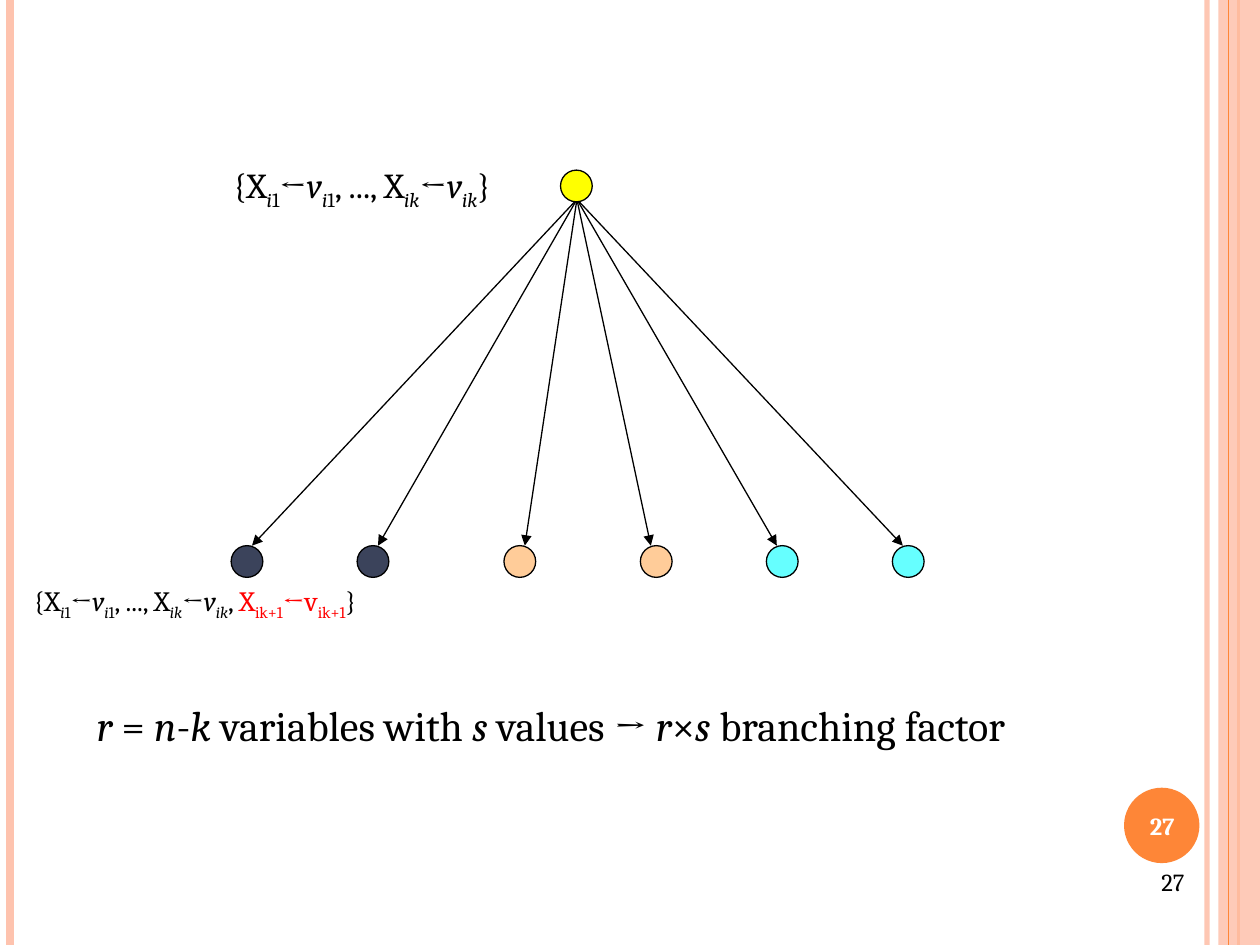
from lxml.etree import SubElement
from pptx import Presentation
from pptx.dml.color import RGBColor
from pptx.enum.shapes import MSO_CONNECTOR as Connector, MSO_SHAPE as Shape
from pptx.enum.text import MSO_ANCHOR as Anchor, PP_ALIGN as Align
from pptx.oxml.ns import qn
from pptx.util import Cm, Pt

WIDTH, HEIGHT = 25.4, 19.05
FONT = "Cambria"
BLACK, WHITE, RED = "000000", "FFFFFF", "FF0000"
ORANGE, PEACH = "FE8637", "FEC3AE"
NAVY, SAND, CYAN, YELLOW = "3B435B", "FFCC99", "66FFFF", "FFFF00"
PAGE_NUMBER = "27"

NODE_SIZE = 0.64
ROOT_LEFT, ROOT_TOP = 11.3, 3.43
FAN_X, FAN_Y = 11.63, 4.02
CHILD_TOP = 11

# Left edge of each child node, x of the arrow tip above it, colour
CHILDREN = [
    (4.66, 5.08, NAVY), (7.2, 7.62, NAVY),
    (10.16, 10.58, SAND), (12.91, 13.12, SAND),
    (15.45, 15.66, CYAN), (17.99, 18.2, CYAN),
]

# Spans are (text, marks): i italic, s subscript, r red
FIRST = [("X", ""), ("i", "is"), ("1", "s"), ("←", ""),
         ("v", "i"), ("i", "is"), ("1", "s")]
LAST = [("X", ""), ("ik", "is"), ("←", ""), ("v", "i"), ("ik", "is")]
ASSIGNMENT = [("{", "")] + FIRST + [(", ..., ", "")] + LAST
EXTENSION = [("X", "r"), ("ik+1", "rs"), ("←v", "r"), ("ik+1", "rs")]
BRANCHING = [("r", "i"), (" = ", ""), ("n", "i"), ("-", ""), ("k", "i"),
             (" variables with ", ""), ("s", "i"), (" values → ", ""),
             ("r", "i"), ("×", ""), ("s", "i"), (" branching factor", "")]


def paint(color_format, color, opacity=100):
    color_format.rgb = RGBColor.from_string(color)


def set_opacity(element, percent):
    color = next(element.iter(qn("a:srgbClr")))
    SubElement(color, qn("a:alpha")).set("val", str(percent * 1000))


def add_filled(page, kind, left, top, width, height, color, outlined=False):
    shape = page.shapes.add_shape(kind, Cm(left), Cm(top), Cm(width), Cm(height))
    shape.shadow.inherit = False
    shape.fill.solid()
    paint(shape.fill.fore_color, color)
    if outlined:
        paint(shape.line.color, BLACK)
        shape.line.width = Pt(0.75)
    else:
        shape.line.fill.background()
    return shape


def add_node(page, left, top, color):
    return add_filled(page, Shape.OVAL, left, top, NODE_SIZE, NODE_SIZE,
                      color, outlined=True)


def add_line(page, start, end, color, weight, arrow=False):
    line = page.shapes.add_connector(
        Connector.STRAIGHT, *(Cm(value) for value in start + end))
    paint(line.line.color, color)
    line.line.width = Pt(weight)
    properties = line._element.spPr
    if arrow:
        SubElement(properties.find(qn("a:ln")), qn("a:tailEnd")).set("type", "triangle")
    SubElement(properties, qn("a:effectLst"))
    return line


def add_text(page, left, top, width, height, spans, size, color=BLACK,
             bold=False, align=Align.LEFT, anchor=Anchor.TOP):
    box = page.shapes.add_textbox(Cm(left), Cm(top), Cm(width), Cm(height))
    frame = box.text_frame
    frame.word_wrap = True
    frame.vertical_anchor = anchor
    para = frame.paragraphs[0]
    para.alignment = align
    for text, marks in spans:
        span = para.add_run()
        span.text = text
        font = span.font
        font.name, font.size, font.bold = FONT, Pt(size), bold
        font.italic = "i" in marks
        paint(font.color, RED if "r" in marks else color)
        if "s" in marks:
            font._element.set("baseline", "-25000")


def add_stripe(page, x, color, weight):
    return add_line(page, (x, 0), (x, HEIGHT), color, weight)


def add_frame(page):
    set_opacity(add_stripe(page, 24.33, PEACH, 3)._element, 93)
    add_stripe(page, 0.2, PEACH, 4.5)
    add_stripe(page, 24.97, ORANGE, 1.5)
    band = add_filled(page, Shape.RECTANGLE, 24.56, 0, 0.84, HEIGHT, PEACH)
    set_opacity(band._element, 87)
    add_stripe(page, 24.77, ORANGE, 0.75)


def add_page_numbers(page):
    number = [(PAGE_NUMBER, "")]
    add_filled(page, Shape.OVAL, 22.66, 15.88, 1.52, 1.52, ORANGE)
    add_text(page, 22.58, 15.93, 1.7, 1.45, number, 14, WHITE, bold=True,
             align=Align.CENTER, anchor=Anchor.MIDDLE)
    add_text(page, 18.2, 17.35, 5.93, 1.32, number, 14, align=Align.RIGHT)


def add_tree(page):
    for left, tip, color in CHILDREN:
        add_node(page, left, CHILD_TOP, color)
        add_line(page, (FAN_X, FAN_Y), (tip, CHILD_TOP), BLACK, 0.75, arrow=True)
    add_node(page, ROOT_LEFT, ROOT_TOP, YELLOW)


def main():
    deck = Presentation()
    deck.slide_width, deck.slide_height = Cm(WIDTH), Cm(HEIGHT)
    page = deck.slides.add_slide(deck.slide_layouts[6])

    add_frame(page)
    add_page_numbers(page)
    add_tree(page)

    # Labels of the root and first child, and the conclusion
    closing = [("}", "")]
    add_text(page, 4.45, 3.18, 7.19, 1.12, ASSIGNMENT + closing, 20)
    add_text(page, 0.43, 11.63, 9.02, 0.94,
             ASSIGNMENT + [(", ", "")] + EXTENSION + closing, 16)
    add_text(page, 1.7, 13.97, 21.72, 1.27, BRANCHING, 24)

    deck.save("out.pptx")


if __name__ == "__main__":
    main()
